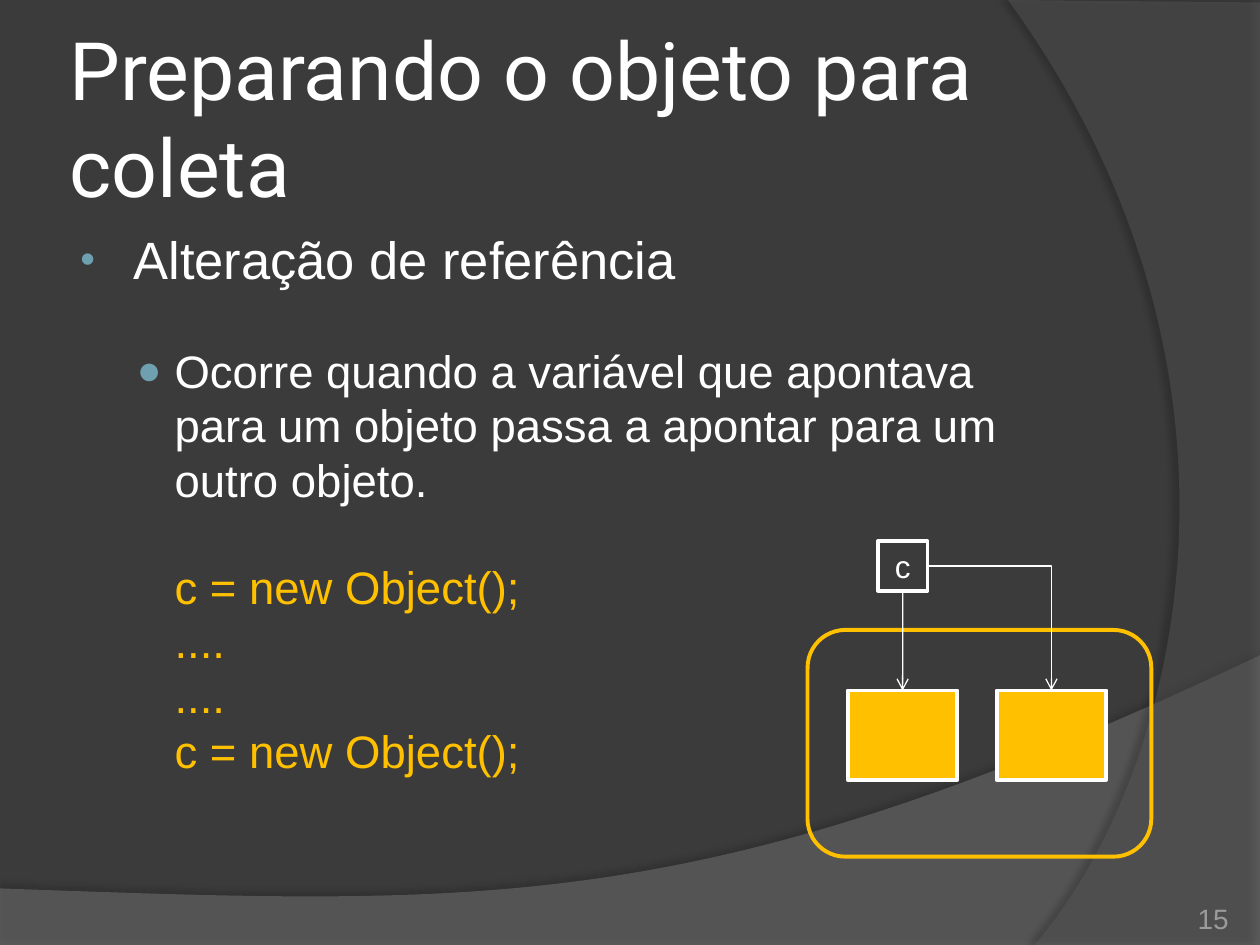
from dataclasses import dataclass

from lxml.etree import SubElement as Sub
from pptx import Presentation
from pptx.dml.color import RGBColor as Rgb
from pptx.enum.shapes import MSO_CONNECTOR as Conn, MSO_SHAPE as Kind
from pptx.enum.text import MSO_ANCHOR as Anchor, MSO_AUTO_SIZE as Auto, PP_ALIGN as Align
from pptx.oxml.ns import qn
from pptx.util import Cm, Pt

HUE = {"back": "3B3B3B", "text": "FFFFFF", "gold": "FFC000", "dot": "6EA0B0",
       "page": "9D9B9A", "wave": "7F7F7F", "arc": "5E5E5E", "shade": "000000"}


@dataclass
class Item:
    text: str
    size: float = 26
    hue: str = "gold"
    level: int = 1
    left: float = 2
    hang: float = 0
    before: float = 0
    mark: str = ""
    scale: int = 100


@dataclass
class Box:
    left: float
    top: float
    width: float
    height: float
    fill: str = ""
    line: str = "text"
    kind: Kind = Kind.RECTANGLE


@dataclass
class Swoosh:
    edge: list
    bend: list
    end: tuple
    hue: str
    alpha: int
    dark: int
    dist: float
    angle: int


ITEMS = [
    Item("Alteração de referência", 30, "text", 0, 1.17, -1.07, 0, "•", 80),
    Item("Ocorre quando a variável que apontava para um objeto passa a apontar "
         "para um outro objeto.", hue="text", hang=-0.76, before=30, mark="●", scale=90),
    Item("c = new Object();", before=30),
    Item("...."),
    Item("...."),
    Item("c = new Object();"),
]
WAVES = [
    Swoosh([(0, 17.91), (0, 19.08), (25.4, 19.08), (25.4, 13.21)],
           [(14.2, 18.52), (9.93, 18.26)], (0, 17.91), "wave", 45, 35, 3.5, 270),
    Swoosh([(25.4, 0.05), (25.4, 19.05), (20.85, 19.05)],
           [(23.75, 15.72), (25.86, 7.62)], (20.32, 0), "arc", 40, 45, 4, 180),
]


def tint(name: str) -> Rgb:
    return Rgb.from_string(HUE[name])


def write(para, text: str, *, size: float, hue: str = "text", face: str = "Arial",
          align=Align.LEFT, before: float = 0) -> None:
    para.alignment = align
    para.space_before = Pt(before)
    run = para.add_run()
    run.text = text
    font = run.font
    font.size, font.name, font.color.rgb = Pt(size), face, tint(hue)


def place(shape, left: float, top: float, width: float, height: float) -> None:
    shape.left, shape.top = Cm(left), Cm(top)
    shape.width, shape.height = Cm(width), Cm(height)


def frame(shape, anchor, pad: float):
    body = shape.text_frame
    body.word_wrap = True
    body.auto_size = Auto.NONE
    body.vertical_anchor = anchor
    body.margin_left = body.margin_right = Cm(pad)
    body.margin_top = body.margin_bottom = Cm(min(pad, 0.13))
    return body


def curve(shape, bend: list) -> None:
    last = shape._element.findall(".//" + qn("a:lnTo"))[-1]
    last.tag = qn("a:cubicBezTo")
    end = last[0]
    for x, y in bend:
        Sub(last, qn("a:pt"), x=str(Cm(x) - shape.left), y=str(Cm(y) - shape.top))
    last.append(end)


def sweep(slide, wave: Swoosh, depth: int) -> None:
    dots = [(Cm(x), Cm(y)) for x, y in wave.edge + [wave.end]]
    pen = slide.shapes.build_freeform(*dots[0])
    pen.add_line_segments(dots[1:], close=True)
    shape = pen.convert_to_shape()
    curve(shape, wave.bend)
    shape.fill.solid()
    shape.fill.fore_color.rgb = tint(wave.hue)
    shape.line.fill.background()
    shape.shadow.inherit = False
    props = shape._element.spPr
    Sub(props.find(".//" + qn("a:srgbClr")), qn("a:alpha"), val=str(wave.alpha * 1000))
    cast = Sub(props.find(qn("a:effectLst")), qn("a:outerShdw"), blurRad=str(Pt(4)),
               dist=str(Pt(wave.dist)), dir=str(wave.angle * 60000),
               algn="ctr", rotWithShape="0")
    shade = Sub(cast, qn("a:srgbClr"), val=HUE["shade"])
    Sub(shade, qn("a:alpha"), val=str(wave.dark * 1000))
    slide.shapes._spTree.insert(2 + depth, shape._element)


def bullet(para, item: Item) -> None:
    props = para._p.get_or_add_pPr()
    props.set("marL", str(Cm(item.left)))
    props.set("indent", str(Cm(item.hang)))
    if not item.mark:
        Sub(props, qn("a:buNone"))
        return
    Sub(Sub(props, qn("a:buClr")), qn("a:srgbClr"), val=HUE["dot"])
    Sub(props, qn("a:buSzPct"), val=str(item.scale * 1000))
    Sub(props, qn("a:buFont"), typeface="Arial")
    Sub(props, qn("a:buChar"), char=item.mark)


def draw(slide, box: Box):
    shape = slide.shapes.add_shape(
        box.kind, Cm(box.left), Cm(box.top), Cm(box.width), Cm(box.height))
    shape.shadow.inherit = False
    if box.fill:
        shape.fill.solid()
        shape.fill.fore_color.rgb = tint(box.fill)
    else:
        shape.fill.background()
    shape.line.color.rgb = tint(box.line)
    shape.line.width = Pt(2.25)
    return shape


def link(slide, start, side: int, end, bent: bool = False) -> None:
    wire = slide.shapes.add_connector(Conn.ELBOW if bent else Conn.STRAIGHT, 0, 0, 0, 0)
    wire.begin_connect(start, side)
    wire.end_connect(end, 0)
    wire.line.color.rgb = tint("text")
    wire.line.width = Pt(0.75)
    props = wire._element.spPr
    if bent:
        props.find(qn("a:prstGeom")).set("prst", "bentConnector2")
    Sub(props.find(qn("a:ln")), qn("a:tailEnd"), type="arrow")
    Sub(props, qn("a:effectLst"))


def main() -> None:
    deck = Presentation()
    deck.slide_width, deck.slide_height = Cm(25.4), Cm(19.05)
    slide = deck.slides.add_slide(deck.slide_layouts[1])
    slide.background.fill.solid()
    slide.background.fill.fore_color.rgb = tint("back")
    for depth, wave in enumerate(WAVES):
        sweep(slide, wave, depth)

    title, body = slide.placeholders
    place(title, 1.27, 0.76, 22.43, 3.18)
    write(frame(title, Anchor.MIDDLE, 0.13).paragraphs[0],
          "Preparando o objeto para coleta", size=46, face="Roboto")

    place(body, 1.27, 4.45, 20.75, 12.57)
    text = frame(body, Anchor.TOP, 0.25)
    text.margin_right = Cm(0.5)
    for i, item in enumerate(ITEMS):
        para = text.add_paragraph() if i else text.paragraphs[0]
        para.level = item.level
        bullet(para, item)
        write(para, item.text, size=item.size, hue=item.hue, before=item.before)

    page = slide.shapes.add_textbox(Cm(22.66), Cm(17.83), Cm(2.11), Cm(1.02))
    write(frame(page, Anchor.BOTTOM, 0).paragraphs[0], "15",
          size=16, hue="page", align=Align.RIGHT)

    name = draw(slide, Box(17.7, 10.91, 1, 1))
    write(frame(name, Anchor.MIDDLE, 0.25).paragraphs[0], "c",
          size=18, align=Align.CENTER)
    draw(slide, Box(16.28, 12.7, 6.93, 4.57, line="gold", kind=Kind.ROUNDED_RECTANGLE))
    for i, side in enumerate((2, 3)):
        cell = draw(slide, Box(17.09 + 3 * i, 13.92, 2.21, 1.8, "gold"))
        link(slide, name, side, cell, bent=side == 3)

    deck.save("out.pptx")


if __name__ == "__main__":
    main()
